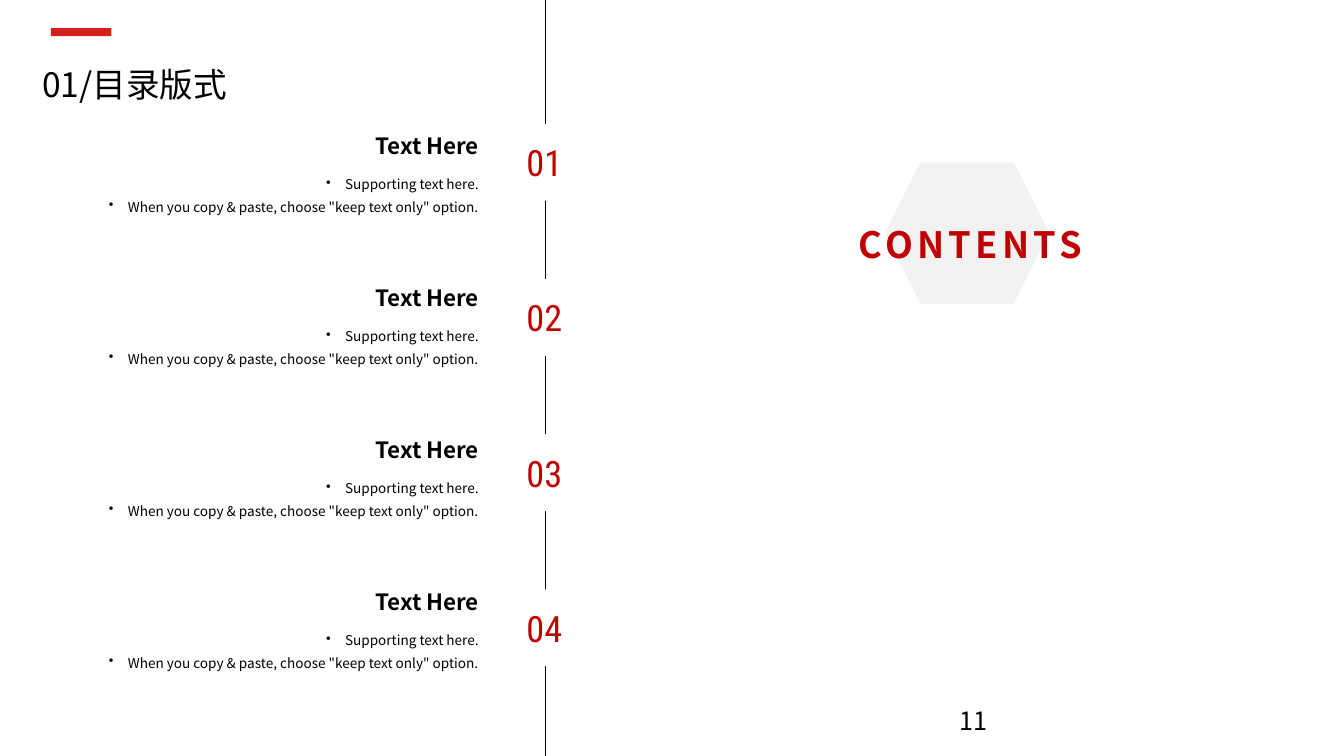
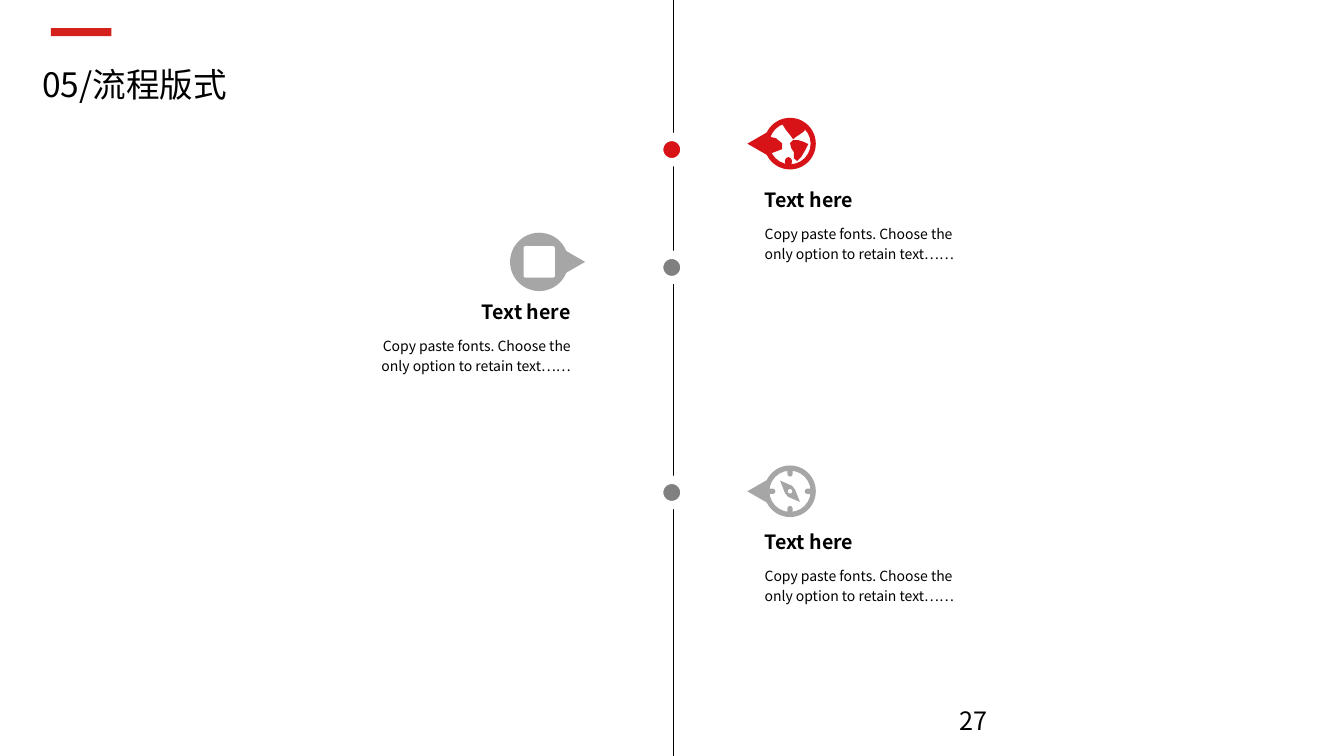
from dataclasses import dataclass

from lxml import etree
from pptx import Presentation
from pptx.dml.color import RGBColor
from pptx.enum.shapes import MSO_CONNECTOR, MSO_SHAPE
from pptx.enum.text import MSO_ANCHOR, MSO_AUTO_SIZE, PP_ALIGN
from pptx.oxml.ns import qn
from pptx.util import Cm, Pt

LEFT, CENTER, RIGHT = PP_ALIGN.LEFT, PP_ALIGN.CENTER, PP_ALIGN.RIGHT
TOP, MIDDLE, BOTTOM = MSO_ANCHOR.TOP, MSO_ANCHOR.MIDDLE, MSO_ANCHOR.BOTTOM
NO_AUTOFIT = MSO_AUTO_SIZE.NONE
STRAIGHT = MSO_CONNECTOR.STRAIGHT
RECT, OVAL, DONUT = MSO_SHAPE.RECTANGLE, MSO_SHAPE.OVAL, MSO_SHAPE.DONUT
ROUNDED, HEXAGON = MSO_SHAPE.ROUNDED_RECTANGLE, MSO_SHAPE.HEXAGON
TRIANGLE = MSO_SHAPE.ISOSCELES_TRIANGLE

TITLE_ONLY = 5


@dataclass(frozen=True)
class Theme:
    font: str = "Noto Sans CJK SC"
    number_font: str = "Roboto Condensed"
    black: str = "000000"
    white: str = "FFFFFF"
    bar: str = "D4211C"
    deep_red: str = "C00000"
    red: str = "D71318"
    dot_gray: str = "808080"
    icon_gray: str = "A6A6A6"
    pale: str = "F2F2F2"
    title: float = 24
    page: float = 18
    display: float = 25.9
    heading: float = 16
    bullet: float = 9.7
    step: float = 14
    body: float = 10


T = Theme()

CONTENT_BULLETS = [
    "Supporting text here.",
    'When you copy & paste, choose "keep text only" option.',
]
STEP_BODY = "Copy paste fonts. Choose the only option to retain text……"

# Outlines in cm from the centre of the icon
GLOBE_LANDS = [
    [(0.36, -0.04), (0.2, -0.09), (0.08, -0.09), (0, -0.01), (0.03, 0.11), (0.1, 0.22),
     (0.1, 0.37), (0.18, 0.44), (0.28, 0.34), (0.38, 0.17), (0.46, 0.01)],
    [(-0.2, -0.5), (-0.1, -0.34), (0, -0.22), (0.08, -0.11), (0.15, -0.17),
     (0.33, -0.29), (0.38, -0.34), (0.25, -0.54), (0, -0.6)],
    [(-0.51, -0.17), (-0.36, -0.14), (-0.2, -0.01), (-0.2, 0.14), (-0.41, 0.22),
     (-0.46, 0.24), (-0.58, 0.04)],
]
NEEDLE = [(-0.25, -0.27), (0.05, -0.14), (0.13, -0.04),
          (0.25, 0.27), (-0.05, 0.14), (-0.13, 0.04)]


def rgb(value):
    return RGBColor.from_string(value)


def set_all(obj, values):
    for name, value in values.items():
        setattr(obj, name, value)


def add_bullet(p):
    pPr = p._p.get_or_add_pPr()
    pPr.set("marL", str(Cm(0.48)))
    pPr.set("indent", str(-Cm(0.48)))
    etree.SubElement(pPr, qn("a:buChar")).set("char", "•")


def write(tf, lines, size, color=T.black, bold=False, font=T.font, align=LEFT,
          anchor=TOP, spacing=None, wrap=True, bullets=False, tracking=None):
    """Fill a text frame with one uniformly formatted paragraph per line."""
    set_all(tf, {"auto_size": NO_AUTOFIT, "word_wrap": wrap, "vertical_anchor": anchor})
    for i, line in enumerate(lines):
        p = tf.add_paragraph() if i else tf.paragraphs[0]
        set_all(p, {"alignment": align, "line_spacing": spacing, "space_before": Pt(0)})
        if bullets:
            add_bullet(p)
        r = p.add_run()
        r.text = line
        set_all(r.font, {"name": font, "size": Pt(size), "bold": bold})
        r.font.color.rgb = rgb(color)
        rPr = r.font._element
        etree.SubElement(rPr, qn("a:ea")).set("typeface", font)
        if tracking:
            rPr.set("spc", str(tracking * 100))


def text_box(slide, x, y, w, h, lines, size, **fmt):
    sp = slide.shapes.add_textbox(Cm(x), Cm(y), Cm(w), Cm(h))
    write(sp.text_frame, lines, size, **fmt)


def paint(sp, fill, line_width=None):
    sp.shadow.inherit = False
    sp.fill.solid()
    sp.fill.fore_color.rgb = rgb(fill)
    if line_width:
        sp.line.color.rgb = rgb(T.white)
        sp.line.width = Pt(line_width)
    else:
        sp.line.fill.background()


def shape(slide, kind, x, y, w, h, fill, line_width=None):
    sp = slide.shapes.add_shape(kind, Cm(x), Cm(y), Cm(w), Cm(h))
    paint(sp, fill, line_width)
    return sp


def centred(slide, kind, cx, cy, w, h, fill, line_width=None):
    return shape(slide, kind, cx - w / 2, cy - h / 2, w, h, fill, line_width)


def outline(slide, cx, cy, points, fill):
    spots = [(Cm(cx + dx), Cm(cy + dy)) for dx, dy in points]
    builder = slide.shapes.build_freeform(*spots[0])
    builder.add_line_segments(spots[1:], close=True)
    paint(builder.convert_to_shape(), fill)


def vertical_axis(prs, slide, x):
    line = slide.shapes.add_connector(STRAIGHT, Cm(x), 0, Cm(x), prs.slide_height)
    line.line.color.rgb = rgb(T.black)
    line.line.width = Pt(0.5)
    etree.SubElement(line._element.spPr, qn("a:effectLst"))


def pointer(slide, cx, cy, angle, fill):
    centred(slide, TRIANGLE, cx, cy, 0.61, 0.53, fill).rotation = angle


def ring(slide, cx, cy, fill):
    centred(slide, DONUT, cx, cy, 1.3, 1.3, fill).adjustments[0] = 0.1


def globe_icon(slide, cx, cy, fill):
    pointer(slide, cx - 0.81, cy, 270, fill)
    ring(slide, cx, cy, fill)
    for land in GLOBE_LANDS:
        outline(slide, cx, cy, land, fill)
    centred(slide, OVAL, cx - 0.04, cy + 0.45, 0.18, 0.22, fill)


def compass_icon(slide, cx, cy, fill):
    pointer(slide, cx - 0.81, cy, 270, fill)
    ring(slide, cx, cy, fill)
    for dx, dy in [(0, -1), (1, 0), (0, 1), (-1, 0)]:
        w, h = (0.2, 0.13) if dx else (0.13, 0.2)
        tick = centred(slide, ROUNDED, cx + 0.47 * dx, cy + 0.47 * dy, w, h, fill)
        tick.adjustments[0] = 0.5
    outline(slide, cx, cy, NEEDLE, fill)
    centred(slide, OVAL, cx, cy, 0.11, 0.11, T.white)


def badge_icon(slide, cx, cy, fill):
    pointer(slide, cx + 0.89, cy, 90, fill)
    centred(slide, OVAL, cx, cy, 1.47, 1.47, fill)
    centred(slide, ROUNDED, cx, cy, 0.79, 0.79, T.white).adjustments[0] = 0.06


def new_slide(prs, title, page):
    """Add a slide with the shared title, red bar and page number."""
    slide = prs.slides.add_slide(prs.slide_layouts[TITLE_ONLY])
    sp = slide.shapes.title
    set_all(sp, {"left": Cm(0.81), "top": Cm(1.17), "width": Cm(32.21), "height": Cm(1.7)})
    write(sp.text_frame, [title], T.title, anchor=MIDDLE, spacing=1.2)
    shape(slide, RECT, 1.28, 0.71, 1.53, 0.2, T.bar)
    text_box(slide, 23.93, 17.65, 7.62, 1.02, [page], T.page)
    return slide


def contents_slide(prs):
    slide = new_slide(prs, "01/目录版式", "11")
    vertical_axis(prs, slide, 13.74)
    for i in range(4):
        circle = shape(slide, OVAL, 12.83, 3.2 + 3.91 * i, 1.78, 1.78, T.white, 4.5)
        write(circle.text_frame, [f"{i + 1:02}"], T.display, color=T.deep_red,
              font=T.number_font, align=CENTER, anchor=MIDDLE, wrap=False)
        top = 3.07 + 3.83 * i
        text_box(slide, 1.96, top, 10.36, 1.07, ["Text Here"], T.heading,
                 bold=True, align=RIGHT, anchor=BOTTOM)
        text_box(slide, 1.96, top + 1.07, 10.36, 1.4, CONTENT_BULLETS, T.bullet,
                 align=RIGHT, spacing=1.4, bullets=True)
    shape(slide, HEXAGON, 22.3, 4.09, 4.14, 3.56, T.pale)
    text_box(slide, 21.39, 5.08, 5.74, 1.68, ["CONTENTS"], T.display, color=T.deep_red,
             bold=True, anchor=MIDDLE, spacing=1.4, wrap=False, tracking=3)


def step_text(slide, edge, top, align):
    """Place a heading and body whose aligned side is at edge."""
    for text, dy, w, h, fmt in [
        ("Text here", 0, 3.51, 0.86, {"size": T.step, "bold": True}),
        (STEP_BODY, 0.85, 5.97, 1.55, {"size": T.body, "spacing": 1.2}),
    ]:
        x = edge - w if align == RIGHT else edge
        text_box(slide, x, top + dy, w, h, [text], align=align, **fmt)


def process_slide(prs):
    slide = new_slide(prs, "05/流程版式", "27")
    vertical_axis(prs, slide, 16.97)
    steps = [
        (3.77, T.red, globe_icon, 19.91, 3.62, T.red, 19.02, 4.62, LEFT),
        (6.74, T.dot_gray, badge_icon, 13.59, 6.6, T.icon_gray, 14.63, 7.44, RIGHT),
        (12.41, T.dot_gray, compass_icon, 19.91, 12.38, T.icon_gray, 19.02, 13.23, LEFT),
    ]
    for dot_y, dot_fill, icon, cx, cy, icon_fill, edge, top, align in steps:
        centred(slide, OVAL, 16.93, dot_y, 0.64, 0.64, dot_fill, 6)
        icon(slide, cx, cy, icon_fill)
        step_text(slide, edge, top, align)


def main():
    prs = Presentation()
    prs.slide_width, prs.slide_height = Cm(33.87), Cm(19.05)
    contents_slide(prs)
    process_slide(prs)
    prs.save("out.pptx")


if __name__ == "__main__":
    main()
